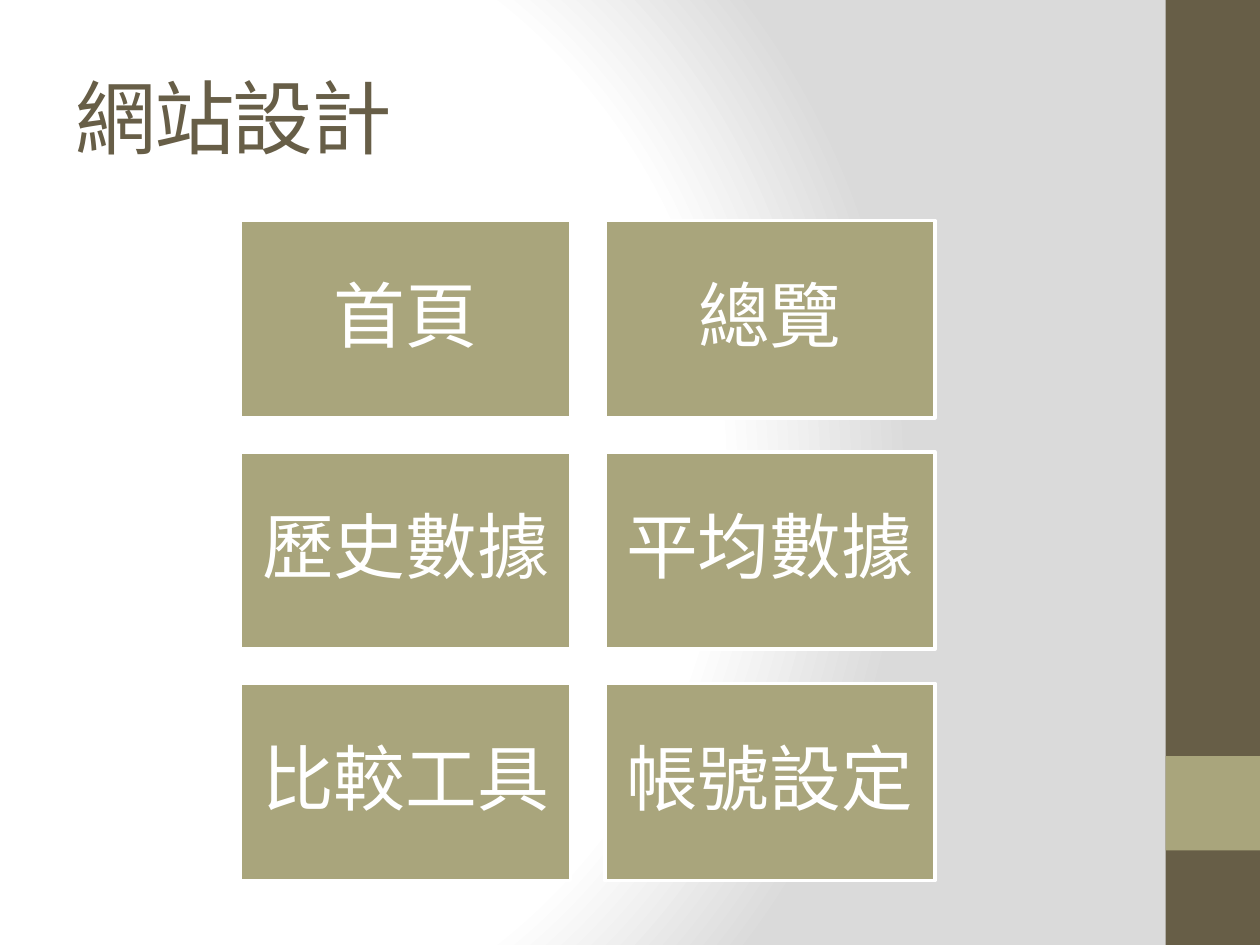
from lxml import etree
from pptx import Presentation
from pptx.dml.color import RGBColor
from pptx.enum.shapes import MSO_SHAPE
from pptx.enum.text import MSO_ANCHOR, PP_ALIGN
from pptx.oxml import parse_xml
from pptx.oxml.ns import nsdecls, qn
from pptx.util import Inches, Pt

RECT = MSO_SHAPE.RECTANGLE
MIDDLE = MSO_ANCHOR.MIDDLE
LEFT, CENTER = PP_ALIGN.LEFT, PP_ALIGN.CENTER

BROWN = RGBColor(0x67, 0x5E, 0x47)
OLIVE = RGBColor(0xA9, 0xA5, 0x7C)
WHITE = RGBColor(0xFF, 0xFF, 0xFF)
GREY = RGBColor(0xDA, 0xDA, 0xDA)

PAGES = ["首頁", "總覽", "歷史數據", "平均數據", "比較工具", "帳號設定"]


def add_background(slide):
    """Circular gradient, white on the left to grey on the right."""
    slide.background.fill.solid()
    bg_pr = slide.element.find(".//" + qn("p:bgPr"))
    grad = parse_xml(
        f'<a:gradFill {nsdecls("a")} rotWithShape="1"><a:gsLst/>'
        '<a:path path="circle">'
        '<a:fillToRect l="20000" t="50000" r="100000" b="50000"/>'
        '</a:path></a:gradFill>')
    for pos, color in [(0, WHITE), (75, WHITE), (100, GREY)]:
        gs = etree.SubElement(grad[0], qn("a:gs"), pos=str(pos * 1000))
        etree.SubElement(gs, qn("a:srgbClr"), val=str(color))
    bg_pr.replace(bg_pr[0], grad)


def add_rect(slide, left, top, width, height, color):
    sp = slide.shapes.add_shape(RECT, left, top, width, height)
    sp.shadow.inherit = False
    sp.fill.solid()
    sp.fill.fore_color.rgb = color
    sp.line.fill.background()
    return sp


def add_side_band(slide, left, top, width, height):
    """Brown band with an olive square near its foot."""
    add_rect(slide, left, top, width, height, BROWN)
    add_rect(slide, left, top + height - 2 * width, width, width, OLIVE)


def format_run(r, font, size, color):
    r.font.name = font
    r.font.size = Pt(size)
    r.font.color.rgb = color


def add_title(slide, text, left, top, width, height):
    title = slide.shapes.title
    title.left, title.top, title.width, title.height = left, top, width, height
    tf = title.text_frame
    tf.text = text
    tf.vertical_anchor = MIDDLE
    p = tf.paragraphs[0]
    p.alignment = LEFT
    r = p.runs[0]
    format_run(r, "Cambria", 46, BROWN)
    r.font._element.set("spc", "-100")


def add_page_grid(slide, pages, left, top, width, height, cols=2, gap=Inches(0.27)):
    """Equal tiles in rows, one for each page of the site."""
    rows = len(pages) // cols
    tile_w = (width - gap * (cols - 1)) // cols
    tile_h = (height - gap * (rows - 1)) // rows
    for i, page in enumerate(pages):
        row, col = divmod(i, cols)
        sp = add_rect(slide, left + col * (tile_w + gap),
                      top + row * (tile_h + gap), tile_w, tile_h, OLIVE)
        sp.line.color.rgb = WHITE
        sp.line.width = Pt(2)
        tf = sp.text_frame
        tf.text = page
        tf.word_wrap = False
        tf.vertical_anchor = MIDDLE
        tf.margin_left = tf.margin_right = Inches(0.17)
        tf.margin_top = tf.margin_bottom = Inches(0.17)
        p = tf.paragraphs[0]
        p.alignment = CENTER
        p.line_spacing = 0.9
        format_run(p.runs[0], "Calibri", 41, WHITE)


def main():
    prs = Presentation()
    prs.slide_width, prs.slide_height = Inches(10), Inches(7.5)
    slide = prs.slides.add_slide(prs.slide_layouts[5])
    add_background(slide)
    add_side_band(slide, Inches(9.25), 0, Inches(0.75), prs.slide_height)
    add_title(slide, "網站設計", Inches(0.5), Inches(0.3), Inches(8.33), Inches(1.25))
    add_page_grid(slide, PAGES, Inches(1.91), Inches(1.75), Inches(5.51), Inches(5.24))
    prs.save("out.pptx")


if __name__ == "__main__":
    main()
